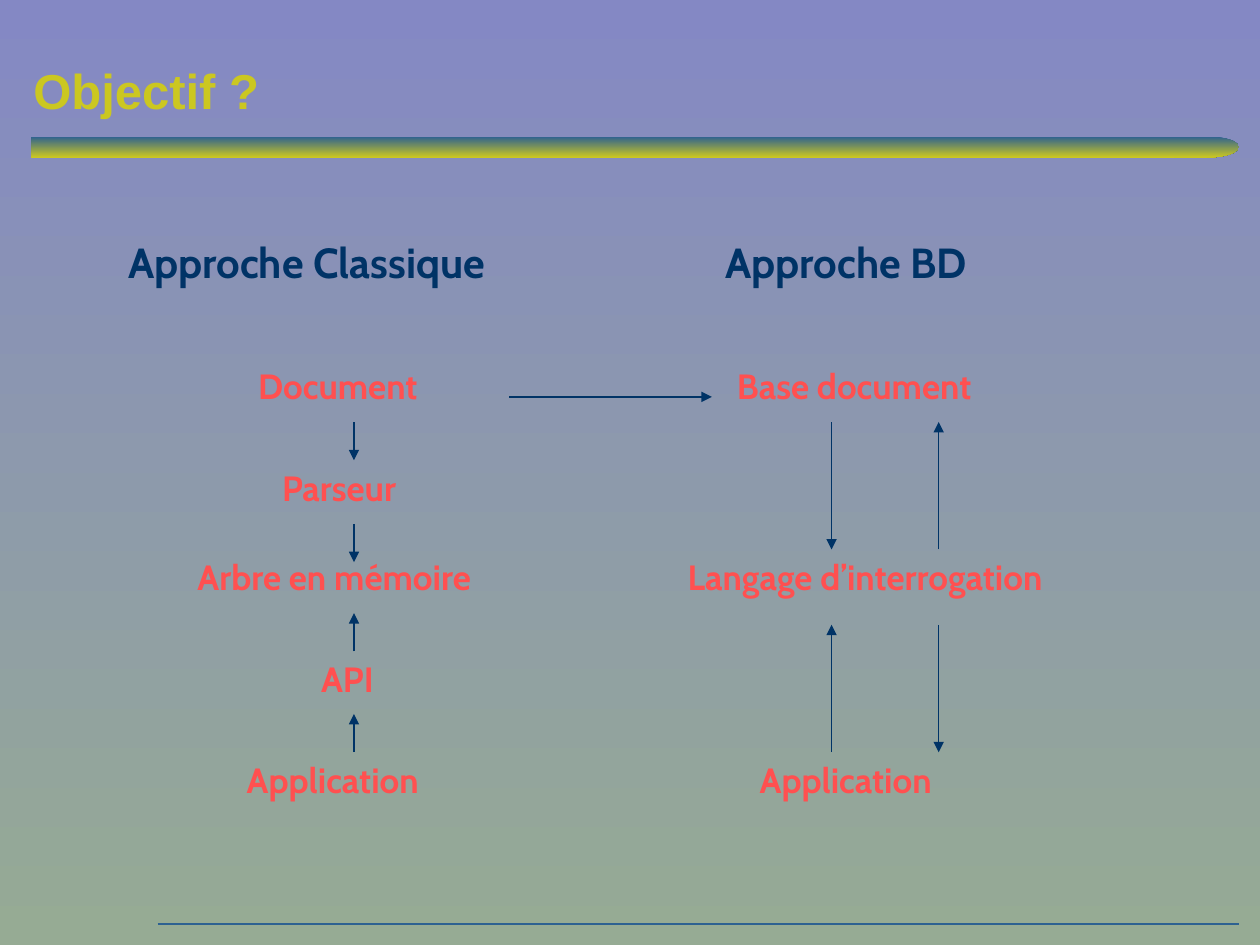
"""Build the slide comparing the classic and the database approach."""
from pptx import Presentation
from pptx.dml.color import RGBColor
from pptx.enum.shapes import MSO_CONNECTOR, MSO_SHAPE
from pptx.enum.text import MSO_ANCHOR
from pptx.oxml.ns import qn
from pptx.util import Pt
from lxml.etree import SubElement

SKY = RGBColor(0x84, 0x88, 0xC4)
SAGE = RGBColor(0x96, 0xAB, 0x94)
BLUE = RGBColor(0x2D, 0x61, 0x91)
YELLOW = RGBColor(0xCB, 0xC7, 0x21)
CORAL = RGBColor(0xFF, 0x50, 0x50)
NAVY = RGBColor(0x00, 0x33, 0x66)

DOCUMENT_Y, PARSER_Y, MIDDLE_Y, API_Y, APPLICATION_Y = 204.5, 262.8, 313.9, 372.2, 429.8
CLASSIC_X, DOWN_X, UP_X = 202.3, 475.2, 536.4
SHORT, LONG = 21.8, 72.8

HEADINGS = [("Approche Classique", 66.2, 249), ("Approche BD", 407.5, 169)]
STEPS = [
    ("Document", 140.4, DOCUMENT_Y, 118),
    ("Parseur", 154.1, PARSER_Y, 92),
    ("Arbre en mémoire", 105.8, MIDDLE_Y, 197),
    ("API", 176.4, API_Y, 48),
    ("Application", 133.9, APPLICATION_Y, 128),
    ("Base document", 414, DOCUMENT_Y, 168),
    ("Langage d’interrogation", 385.9, MIDDLE_Y, 258),
    ("Application", 427, APPLICATION_Y, 128),
]
VERTICAL_ARROWS = [
    (CLASSIC_X, 241.2, SHORT),
    (CLASSIC_X, 299.4, SHORT),
    (CLASSIC_X, API_Y, -SHORT),
    (CLASSIC_X, APPLICATION_Y, -SHORT),
    (DOWN_X, 241.2, LONG),
    (UP_X, MIDDLE_Y, -LONG),
    (DOWN_X, APPLICATION_Y, -LONG),
    (UP_X, 357.1, LONG),
]


def fill_gradient(fill, top_color, bottom_color):
    """Fill from top to bottom with two colours."""
    fill.gradient()
    fill.gradient_angle = 270
    for stop, color, position in zip(fill.gradient_stops, (top_color, bottom_color), (0, 1)):
        stop.color.rgb = color
        stop.position = position


def add_bar_part(slide, kind, left, width):
    """Add one part of the bar below the title."""
    shape = slide.shapes.add_shape(kind, Pt(left), Pt(78), Pt(width), Pt(12))
    shape.shadow.inherit = False
    shape.line.fill.background()
    fill_gradient(shape.fill, BLUE, YELLOW)


def add_label(slide, text, left, top, width, height, size, color, font="Cabin"):
    """Add a bold one-line text and return its box."""
    shape = slide.shapes.add_textbox(Pt(left), Pt(top), Pt(width), Pt(height))
    shape.text_frame.word_wrap = True
    shape.text_frame.text = text
    run_font = shape.text_frame.paragraphs[0].runs[0].font
    run_font.name, run_font.size, run_font.bold = font, Pt(size), True
    run_font.color.rgb = color
    return shape


def add_line(slide, start, end, color, arrow=True):
    """Add a straight line, with an arrowhead at its end if wanted."""
    connector = slide.shapes.add_connector(
        MSO_CONNECTOR.STRAIGHT, *(Pt(value) for value in (*start, *end)))
    connector.line.width = Pt(0.74)
    connector.line.color.rgb = color
    if arrow:
        SubElement(connector.line._get_or_add_ln(), qn("a:tailEnd"), type="triangle")
    SubElement(connector._element.spPr, qn("a:effectLst"))


def main():
    """Build and save the presentation."""
    presentation = Presentation()
    presentation.slide_width, presentation.slide_height = Pt(720), Pt(540)
    slide = presentation.slides.add_slide(presentation.slide_layouts[6])
    fill_gradient(slide.background.fill, SKY, SAGE)

    add_line(slide, (90, 528), (708, 528), BLUE, arrow=False)
    add_bar_part(slide, MSO_SHAPE.RECTANGLE, 18, 654)
    add_bar_part(slide, MSO_SHAPE.FLOWCHART_DELAY, 671, 37)
    title = add_label(slide, "Objectif ?", 12, 12, 696, 60, 28, YELLOW, "Arial")
    title.text_frame.vertical_anchor = MSO_ANCHOR.BOTTOM
    title.text_frame.paragraphs[0].line_spacing = 0.9

    for text, left, width in HEADINGS:
        add_label(slide, text, left, 131.8, width, 36, 24, NAVY)
    for text, left, top, width in STEPS:
        add_label(slide, text, left, top, width, 31.5, 20, CORAL)
    for x, y, length in VERTICAL_ARROWS:
        add_line(slide, (x, y), (x, y + length), NAVY)
    add_line(slide, (290.9, 226.8), (406.8, 226.8), NAVY)

    presentation.save("out.pptx")


main()
